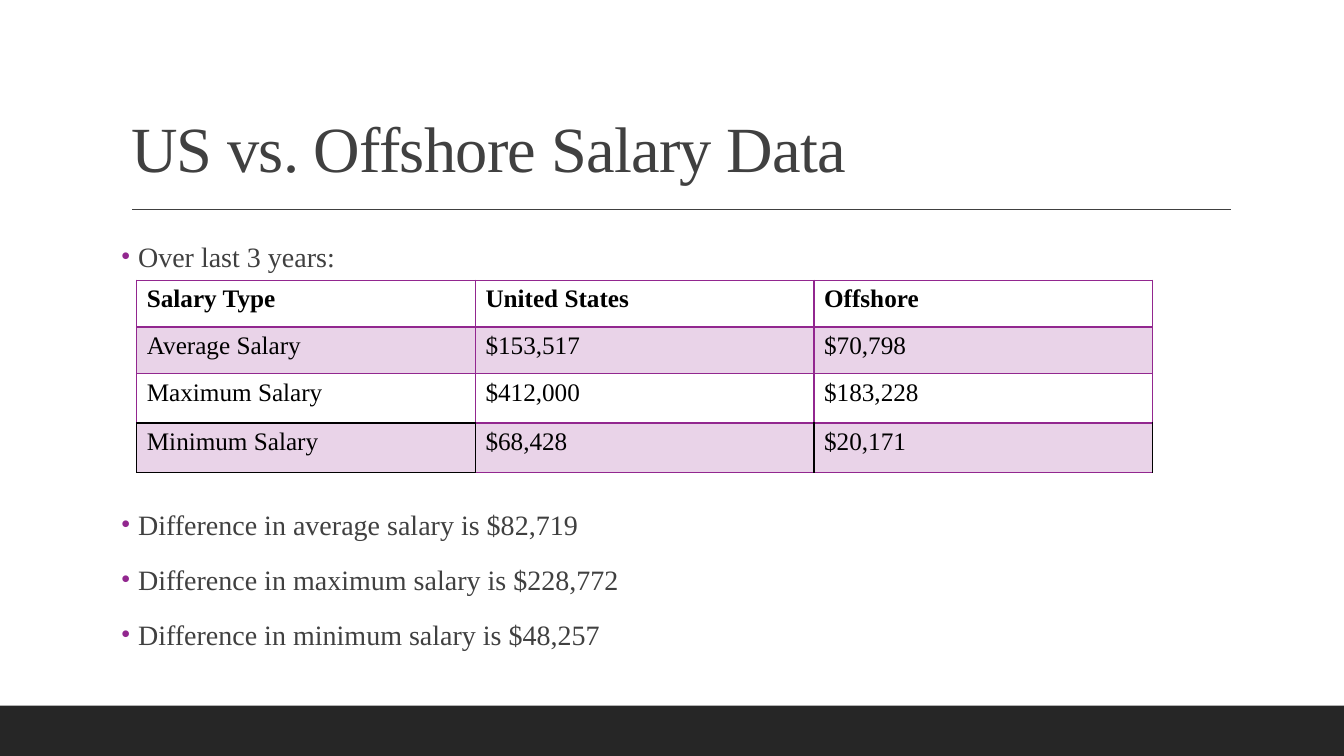
from lxml import etree
from pptx import Presentation
from pptx.dml.color import RGBColor
from pptx.enum.shapes import MSO_CONNECTOR, MSO_SHAPE
from pptx.enum.text import MSO_ANCHOR, MSO_AUTO_SIZE, PP_ALIGN
from pptx.oxml.ns import qn
from pptx.util import Pt

STRAIGHT = MSO_CONNECTOR.STRAIGHT
RECTANGLE = MSO_SHAPE.RECTANGLE
TOP, BOTTOM = MSO_ANCHOR.TOP, MSO_ANCHOR.BOTTOM
NO_FIT = MSO_AUTO_SIZE.NONE
LEFT = PP_ALIGN.LEFT

FONT = "Times New Roman"
COLORS = {
    "bar": "262626",
    "text": "404040",
    "accent": "92278F",
    "black": "000000",
}
SALARIES = [
    ["Salary Type", "United States", "Offshore"],
    ["Average Salary", "$153,517", "$70,798"],
    ["Maximum Salary", "$412,000", "$183,228"],
    ["Minimum Salary", "$68,428", "$20,171"],
]
ROW_HEIGHTS = [33.4, 33.4, 35.2, 35.2]
COLUMN_WIDTH = 241.9
TABLE_GAP = 152  # extra space that the table takes up in the list
BULLETS = [
    ("Over last 3 years:", 0),
    ("Difference in average salary is $82,719", TABLE_GAP),
    ("Difference in maximum salary is $228,772", 0),
    ("Difference in minimum salary is $48,257", 0),
]


def rgb(name):
    return RGBColor.from_string(COLORS[name])


def border_style(row, column):
    """Return the colour and width of each side of a salary cell."""
    sides = {side: ("accent", 1) for side in "LRTB"}
    last = len(SALARIES) - 1
    if row == 0:
        sides["B"] = ("accent", 2)
    elif row == 1:
        sides["T"] = ("accent", 2)
    elif row == last:
        sides["L"] = sides["R"] = ("black", 1)
        if column == 0:
            sides["T"] = sides["B"] = ("black", 1)
    if row == last - 1 and column == 0:
        sides["B"] = ("black", 1)
    return sides


class SlideBuilder:
    def __init__(self, deck):
        self.page = deck.slides.add_slide(deck.slide_layouts[1])

    def span(self, para, text, size, color, bold=False):
        span = para.add_run()
        span.text = text
        span.font.name = FONT
        span.font.size = Pt(size)
        span.font.bold = bold
        span.font.color.rgb = rgb(color)
        return span

    def place(self, box, left, top, width, height, anchor):
        box.left, box.top = Pt(left), Pt(top)
        box.width, box.height = Pt(width), Pt(height)
        frame = box.text_frame
        frame.word_wrap = True
        frame.auto_size = NO_FIT
        frame.vertical_anchor = anchor
        return frame

    def bar(self, left, top, width, height, color):
        box = self.page.shapes.add_shape(
            RECTANGLE, Pt(left), Pt(top), Pt(width), Pt(height))
        box.shadow.inherit = False
        box.fill.solid()
        box.fill.fore_color.rgb = rgb(color)
        box.line.fill.background()

    def rule(self, left, right, top, color):
        line = self.page.shapes.add_connector(
            STRAIGHT, Pt(left), Pt(top), Pt(right), Pt(top))
        line.line.color.rgb = rgb(color)
        line.line.width = Pt(1)
        etree.SubElement(line._element.spPr, qn("a:effectLst"))

    def title(self, text, *area):
        frame = self.place(self.page.shapes.title, *area, BOTTOM)
        para = frame.paragraphs[0]
        para.alignment = LEFT
        para.line_spacing = 0.9
        span = self.span(para, text, 46, "text")
        span.font._element.set("spc", "-50")

    def bullet(self, para, color):
        properties = para._p.get_or_add_pPr()
        properties.set("marL", str(Pt(12.2)))
        properties.set("indent", str(-Pt(12.2)))
        tint = etree.SubElement(properties, qn("a:buClr"))
        etree.SubElement(tint, qn("a:srgbClr"), val=COLORS[color])
        etree.SubElement(properties, qn("a:buFont"), typeface=FONT)
        etree.SubElement(properties, qn("a:buChar"), char="•")

    def bullets(self, items, *area):
        frame = self.place(self.page.placeholders[1], *area, TOP)
        frame.margin_left = frame.margin_right = 0
        for index, (text, gap) in enumerate(items):
            para = frame.add_paragraph() if index else frame.paragraphs[0]
            para.alignment = LEFT
            para.line_spacing = 1.05
            para.space_before = Pt(12 + gap)
            para.space_after = Pt(2)
            self.bullet(para, "accent")
            self.span(para, text, 20, "text")

    def borders(self, cell, sides):
        properties = cell._tc.get_or_add_tcPr()
        for side, (color, width) in sides.items():
            line = etree.SubElement(
                properties, qn(f"a:ln{side}"), w=str(Pt(width)))
            fill = etree.SubElement(line, qn("a:solidFill"))
            etree.SubElement(fill, qn("a:srgbClr"), val=COLORS[color])

    def tint(self, cell, color, percent):
        cell.fill.solid()
        cell.fill.fore_color.rgb = rgb(color)
        shade = cell._tc.tcPr.find(qn("a:solidFill"))[0]
        etree.SubElement(shade, qn("a:alpha"), val=str(percent * 1000))

    def table(self, rows, left, top):
        count = len(rows[0])
        table = self.page.shapes.add_table(
            len(rows), count, Pt(left), Pt(top),
            Pt(COLUMN_WIDTH * count), Pt(sum(ROW_HEIGHTS))).table
        table.horz_banding = False
        for column in table.columns:
            column.width = Pt(COLUMN_WIDTH)
        for row, texts in enumerate(rows):
            table.rows[row].height = Pt(ROW_HEIGHTS[row])
            for column, text in enumerate(texts):
                cell = table.cell(row, column)
                self.borders(cell, border_style(row, column))
                if row % 2:
                    self.tint(cell, "accent", 20)
                else:
                    cell.fill.background()
                para = cell.text_frame.paragraphs[0]
                self.span(para, text, 18, "black", bold=row == 0)


def main():
    deck = Presentation()
    deck.slide_width, deck.slide_height = Pt(960), Pt(540)
    slide = SlideBuilder(deck)

    # Footer bar and rule under the title
    slide.bar(0, 504, 960, 36, "bar")
    slide.rule(94.5, 879, 149.5, "text")

    # Title and list
    slide.title("US vs. Offshore Salary Data", 86.4, 22.3, 792, 114.5)
    slide.bullets(BULLETS, 86.4, 166.3, 757.4, 313.2)

    # Salary table, set in the gap of the list
    slide.table(SALARIES, 97.7, 200.2)

    deck.save("out.pptx")


if __name__ == "__main__":
    main()
